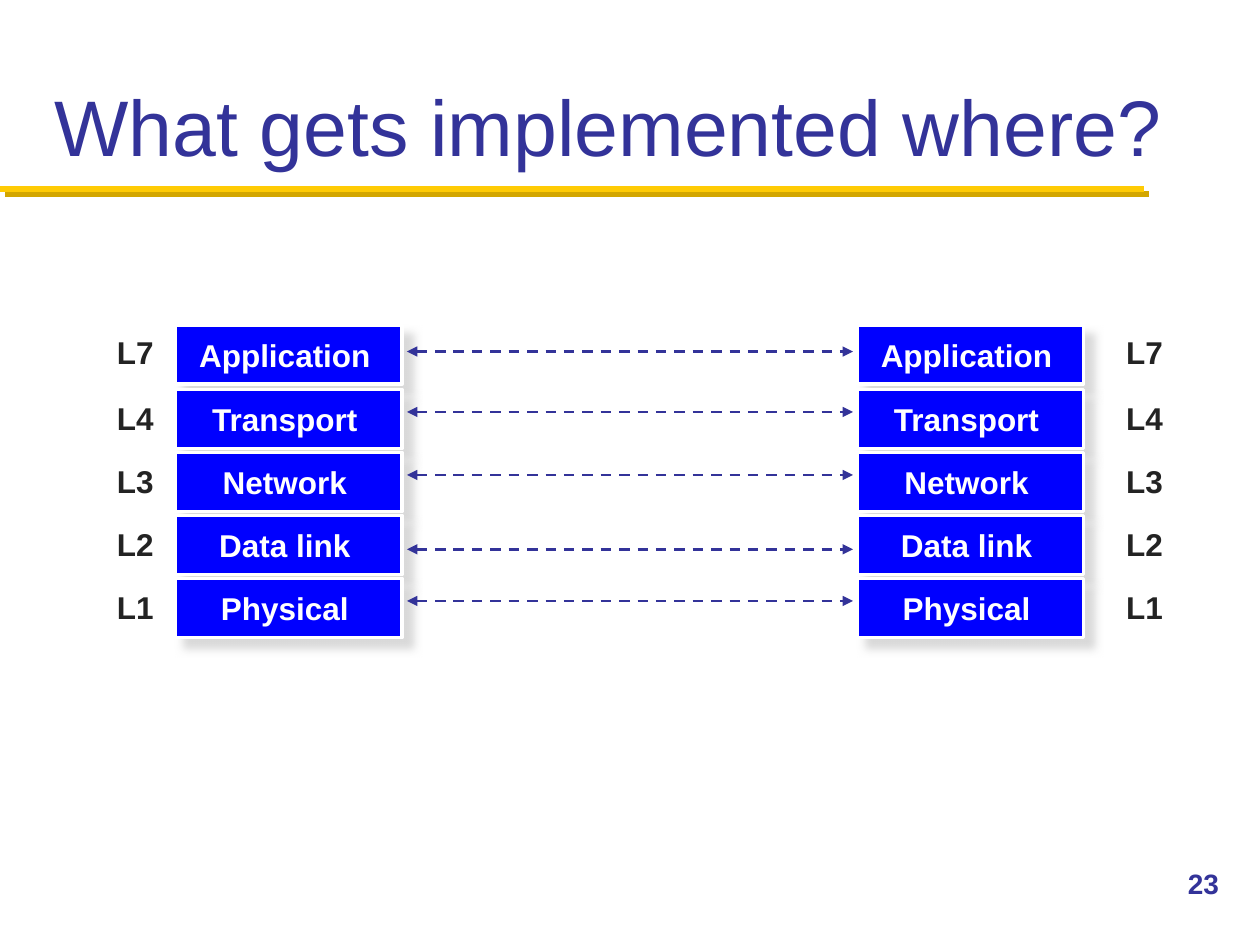
from pptx import Presentation
from pptx.dml.color import RGBColor
from pptx.enum.dml import MSO_LINE
from pptx.enum.shapes import MSO_CONNECTOR, MSO_SHAPE
from pptx.enum.text import MSO_ANCHOR, MSO_AUTO_SIZE, PP_ALIGN
from pptx.oxml.ns import qn
from pptx.util import Inches, Pt
from lxml.etree import SubElement

NAVY, BLUE, WHITE, DARK = "333399", "0000FF", "FFFFFF", "232323"

# Layer name, level, box top, label top, arrow height
LAYERS = [
    ("Application", "L7", 2.58, 2.59, 2.79),
    ("Transport", "L4", 3.09, 3.12, 3.27),
    ("Network", "L3", 3.59, 3.62, 3.77),
    ("Data link", "L2", 4.09, 4.12, 4.36),
    ("Physical", "L1", 4.59, 4.62, 4.77),
]
# Left edges of the boxes and the labels of each host
HOSTS = [(1.39, 0.83), (6.8, 8.84)]


def rgb(value):
    return RGBColor.from_string(value)


def write(sp, text, size, color, bold=True, align=PP_ALIGN.LEFT):
    tf = sp.text_frame
    tf.text = text
    p = tf.paragraphs[0]
    p.alignment = align
    p.font.name = "Arial"
    p.font.size = Pt(size)
    p.font.bold = bold
    p.font.color.rgb = rgb(color)
    return tf


def set_shadow(sp, color=None, alpha=100, blur=0, dist=0):
    """Give a shape an outer shadow at 45 degrees, or none without a color."""
    sp_pr = sp._element.spPr
    effects = SubElement(sp_pr, qn("a:effectLst"))
    if color:
        shadow = SubElement(effects, qn("a:outerShdw"), blurRad=str(Pt(blur)),
                            dist=str(Pt(dist)), dir=str(45 * 60000),
                            algn="ctr", rotWithShape="0")
        clr = SubElement(shadow, qn("a:srgbClr"), val=color)
        SubElement(clr, qn("a:alpha"), val=str(alpha * 1000))


def add_title(s, text):
    sp = s.shapes.title
    sp.left, sp.top = Inches(0.33), Inches(0.17)
    sp.width, sp.height = Inches(9.33), Inches(1.25)
    tf = write(sp, text, 45, NAVY, bold=False)
    tf.vertical_anchor = MSO_ANCHOR.BOTTOM
    tf.auto_size = MSO_AUTO_SIZE.NONE


def add_label(s, text, x, y, w, h, size, color):
    sp = s.shapes.add_textbox(Inches(x), Inches(y), Inches(w), Inches(h))
    write(sp, text, size, color)


def add_layer_box(s, text, x, y):
    sp = s.shapes.add_shape(MSO_SHAPE.RECTANGLE, Inches(x), Inches(y),
                            Inches(1.8), Inches(0.47))
    sp.fill.solid()
    sp.fill.fore_color.rgb = rgb(BLUE)
    sp.line.color.rgb = rgb(WHITE)
    sp.line.width = Pt(2)
    set_shadow(sp, "CECECE", alpha=75, blur=5, dist=8)
    tf = write(sp, text, 18, WHITE, align=PP_ALIGN.CENTER)
    tf.word_wrap = False
    tf.vertical_anchor = MSO_ANCHOR.MIDDLE
    tf.margin_left = tf.margin_top = tf.margin_bottom = Inches(0.04)
    tf.margin_right = Inches(0.1)


def add_line(s, x1, x2, y, color, width):
    line = s.shapes.add_connector(MSO_CONNECTOR.STRAIGHT, Inches(x1),
                                  Inches(y), Inches(x2), Inches(y))
    line.line.color.rgb = rgb(color)
    line.line.width = Pt(width)
    return line


def add_peer_arrow(s, y):
    arrow = add_line(s, 3.23, 6.77, y, NAVY, 1.5)
    arrow.line.dash_style = MSO_LINE.DASH
    ln = arrow.line._get_or_add_ln()
    for end in ("a:headEnd", "a:tailEnd"):
        SubElement(ln, qn(end), type="triangle")
    set_shadow(arrow)


def main():
    prs = Presentation()
    prs.slide_width, prs.slide_height = Inches(10), Inches(7.5)
    s = prs.slides.add_slide(prs.slide_layouts[5])

    # Title, rule and page number
    rule = add_line(s, 0, 9.08, 1.5, "FFCB05", 3.5)
    set_shadow(rule, "D3A600", dist=4.2)
    add_title(s, "What gets implemented where?")
    add_label(s, "23", 9.33, 6.83, 0.67, 0.5, 16, NAVY)

    # Protocol stack of each host
    for box_x, label_x in HOSTS:
        for name, level, box_y, label_y, _ in LAYERS:
            add_layer_box(s, name, box_x, box_y)
            add_label(s, level, label_x, label_y, 0.5, 0.4, 18, DARK)

    # Links between peer layers
    for *_, arrow_y in LAYERS:
        add_peer_arrow(s, arrow_y)

    prs.save("out.pptx")


if __name__ == "__main__":
    main()
